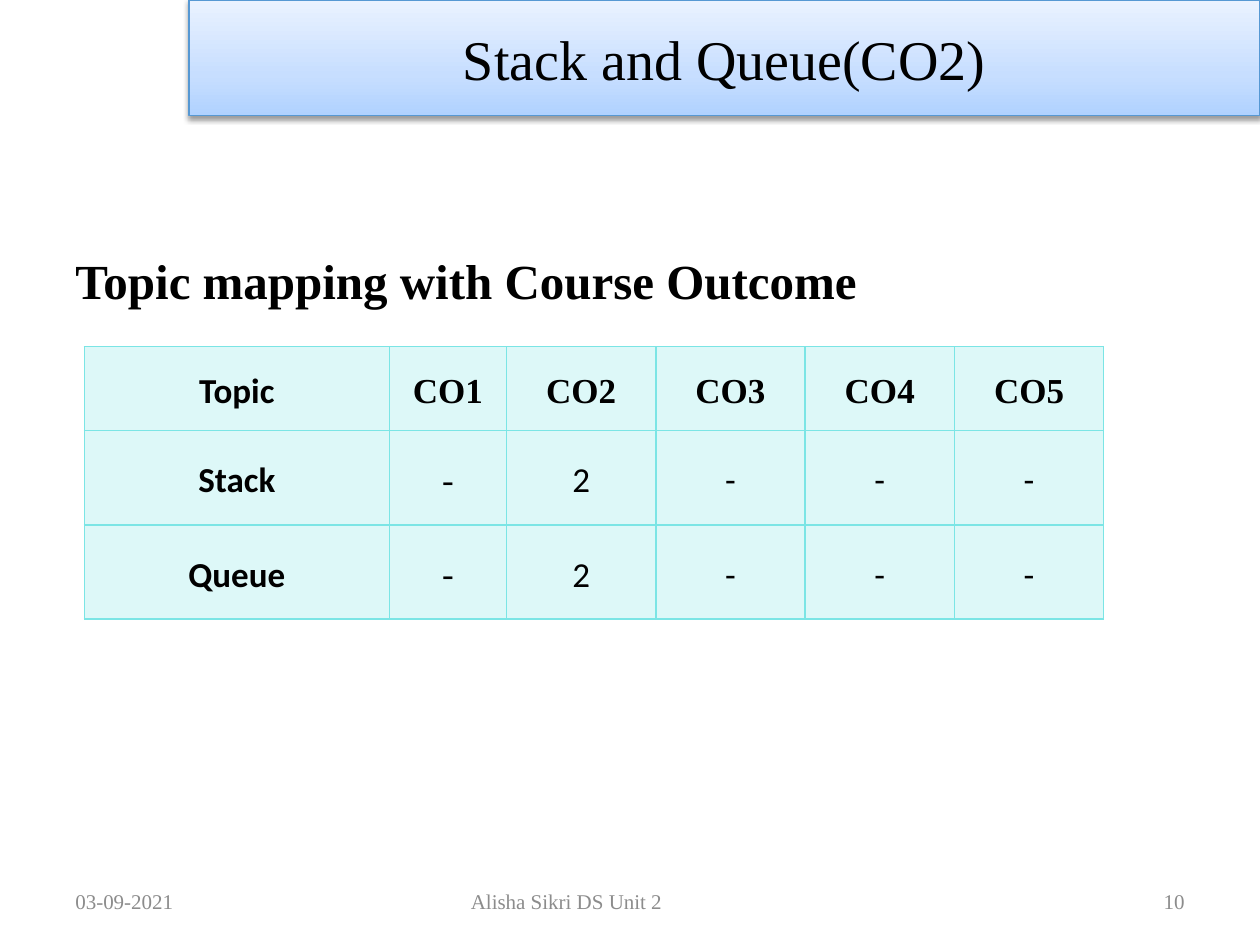
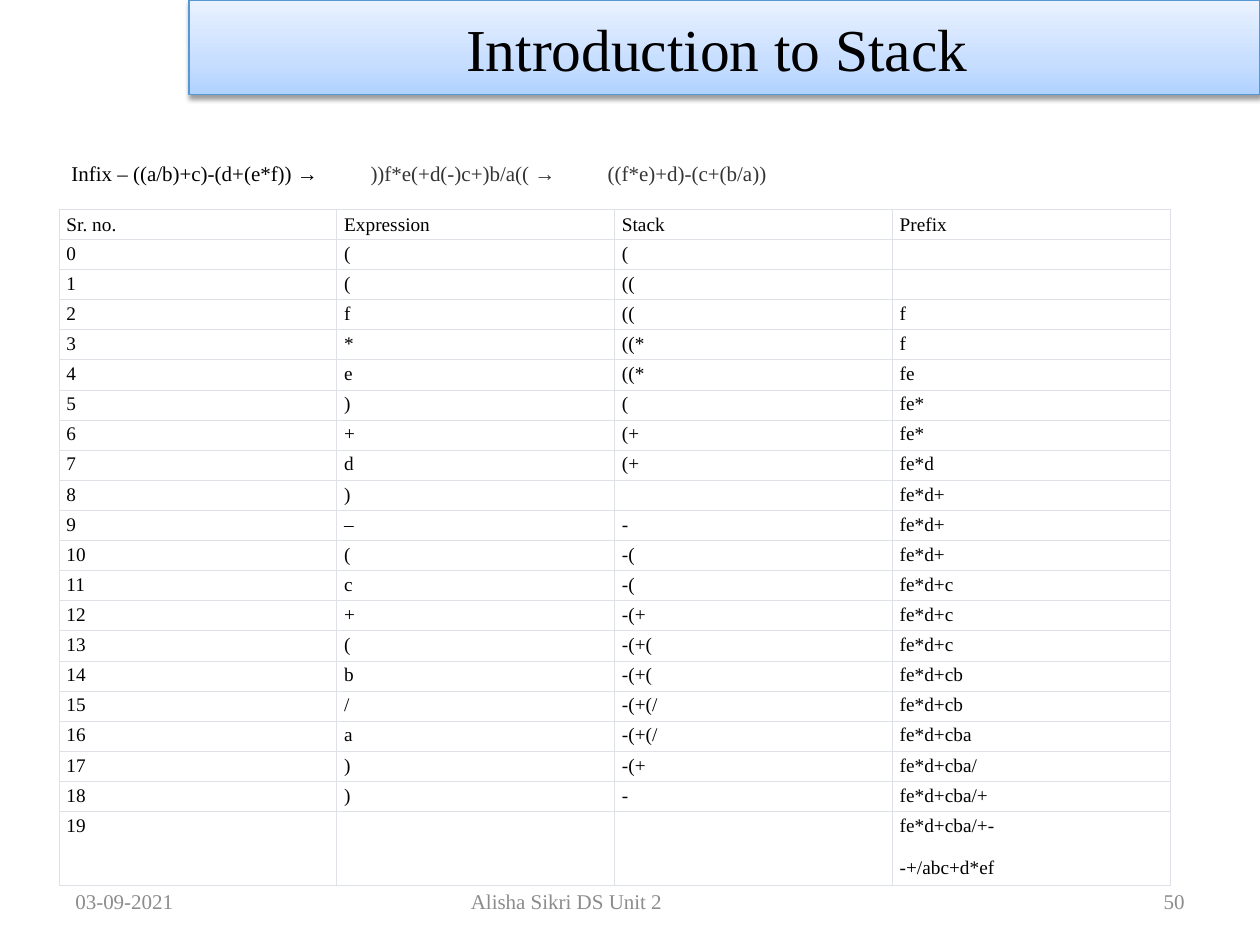
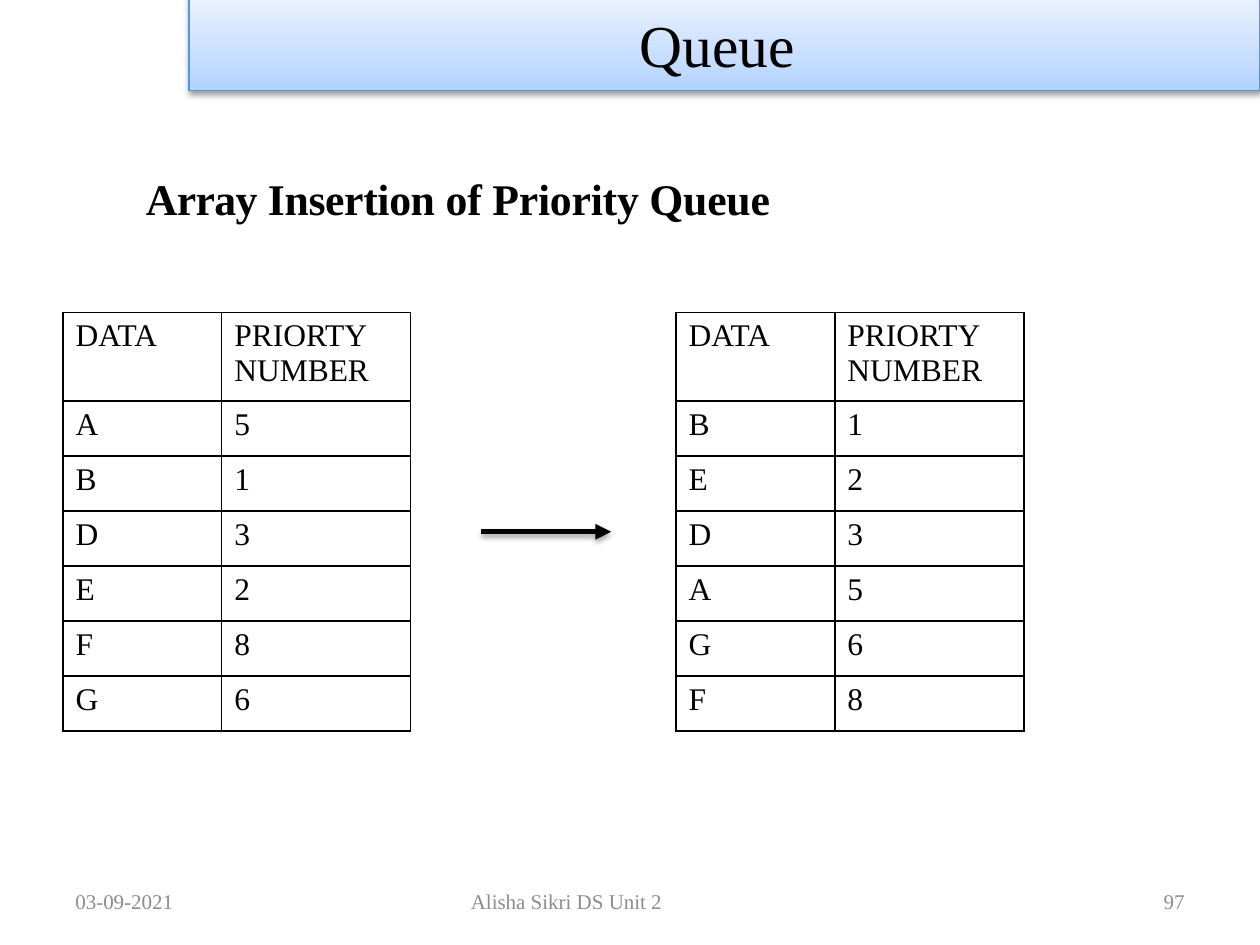
from lxml.etree import SubElement
from pptx import Presentation
from pptx.dml.color import RGBColor
from pptx.enum.shapes import MSO_CONNECTOR as CONN, MSO_SHAPE as SHAPE
from pptx.enum.text import MSO_ANCHOR as ANCHOR, PP_ALIGN as ALIGN
from pptx.oxml.ns import qn
from pptx.util import Cm, Pt

COLORS = {
    "black": "000000", "white": "FFFFFF", "footer": "8C8C8C", "steps": "343434",
    "band_line": "5698D3", "aqua": "7BE5E5", "grid": "DEE2E6",
}
BAND_STOPS = ((0, "B0D2FF"), (35, "C7DEFF"), (100, "EAF2FF"))
SERIF, SANS = "Times New Roman", "Calibri"
BAND_X, BAND_W = 3.81, 21.59
FOOTER_Y, FOOTER_H = 17.65, 1.02
MAPPING = (
    ("Topic", "CO1", "CO2", "CO3", "CO4", "CO5"),
    ("Stack", "-", "2", "-", "-", "-"),
    ("Queue", "-", "2", "-", "-", "-"),
)
# Expression symbol, stack and prefix after each step
STEPS = (
    ("(", "(", ""), ("(", "((", ""), ("f", "((", "f"), ("*", "((*", "f"),
    ("e", "((*", "fe"), (")", "(", "fe*"), ("+", "(+", "fe*"), ("d", "(+", "fe*d"),
    (")", "", "fe*d+"), ("–", "-", "fe*d+"), ("(", "-(", "fe*d+"),
    ("c", "-(", "fe*d+c"), ("+", "-(+", "fe*d+c"), ("(", "-(+(", "fe*d+c"),
    ("b", "-(+(", "fe*d+cb"), ("/", "-(+(/", "fe*d+cb"), ("a", "-(+(/", "fe*d+cba"),
    (")", "-(+", "fe*d+cba/"), (")", "-", "fe*d+cba/+"),
    ("", "", "fe*d+cba/+-\n-+/abc+d*ef"),
)
PRIORITY = {"A": 5, "B": 1, "D": 3, "E": 2, "F": 8, "G": 6}


def rgb(name):
    return RGBColor.from_string(COLORS[name])


def cm(box):
    return [Cm(v) for v in box]


def set_attrs(obj, **values):
    for key, value in values.items():
        setattr(obj, key, value)


def add_run(p, text, size, color="black", name=SERIF, bold=False, spc=0):
    r = p.add_run()
    r.text = text
    set_attrs(r.font, size=Pt(size), name=name, bold=bold)
    r.font.color.rgb = rgb(color)
    if spc:
        r._r.get_or_add_rPr().set("spc", str(spc))


def add_text(s, box, runs, align=ALIGN.LEFT, **frame):
    """Place a one-paragraph text box; runs are (text, format) pairs."""
    tf = s.shapes.add_textbox(*cm(box)).text_frame
    set_attrs(tf, word_wrap=True, **frame)
    p = tf.paragraphs[0]
    p.alignment = align
    for text, fmt in runs:
        add_run(p, text, **fmt)
    return p


def add_shadow(sp, alpha, blur, dist):
    effects = SubElement(sp._element.spPr, qn("a:effectLst"))
    shadow = SubElement(effects, qn("a:outerShdw"), blurRad=str(Pt(blur)),
                        dist=str(Pt(dist)), dir="5400000", rotWithShape="0")
    color = SubElement(shadow, qn("a:srgbClr"), val=COLORS["black"])
    SubElement(color, qn("a:alpha"), val=str(alpha * 1000))


def add_band(s, title, box, size, shift=0):
    """Gradient title band; shift moves the centred title leftwards."""
    sp = s.shapes.add_shape(SHAPE.RECTANGLE, *cm(box))
    sp.fill.gradient()
    sp.fill.gradient_angle = 90
    stops = sp._element.spPr.find(".//" + qn("a:gsLst"))
    stops.clear()
    for pos, color in BAND_STOPS:
        stop = SubElement(stops, qn("a:gs"), pos=str(pos * 1000))
        SubElement(stop, qn("a:srgbClr"), val=color)
    sp.line.color.rgb = rgb("band_line")
    sp.line.width = Pt(0.75)
    add_shadow(sp, 38, 3.1, 1.6)
    tf = sp.text_frame
    set_attrs(tf, vertical_anchor=ANCHOR.MIDDLE, margin_right=Cm(0.25 + shift))
    tf.paragraphs[0].alignment = ALIGN.CENTER
    add_run(tf.paragraphs[0], title, size)


def add_footer(s, number):
    parts = (
        ("03-09-2021", 1.27, 5.93, ALIGN.LEFT),
        ("Alisha Sikri DS Unit 2", 8.69, 5.46, ALIGN.CENTER),
        (str(number), 18.2, 5.93, ALIGN.RIGHT),
    )
    for text, x, w, align in parts:
        add_text(s, (x, FOOTER_Y, w, FOOTER_H), [(text, dict(size=12, color="footer"))],
                 align, vertical_anchor=ANCHOR.MIDDLE)


def add_grid(s, x, y, cols, rows, border, width):
    """Unstyled table with equal borders on every cell."""
    frame = s.shapes.add_table(len(rows), len(cols), *cm((x, y, sum(cols), sum(rows))))
    table = frame.table
    set_attrs(table, first_row=False, horz_banding=False)
    for parts, key, sizes in ((table.columns, "width", cols), (table.rows, "height", rows)):
        for part, size in zip(parts, sizes):
            setattr(part, key, Cm(size))
    for cell in table.iter_cells():
        cell.fill.background()
        tc_pr = cell._tc.get_or_add_tcPr()
        for i, side in enumerate(("lnL", "lnR", "lnT", "lnB")):
            ln = SubElement(tc_pr, qn("a:" + side), w=str(Pt(width)))
            fill = SubElement(ln, qn("a:solidFill"))
            SubElement(fill, qn("a:srgbClr"), val=COLORS[border])
            tc_pr.insert(i, ln)
    return table


def fill_cell(cell, color, alpha=100):
    cell.fill.solid()
    cell.fill.fore_color.rgb = rgb(color)
    if alpha < 100:
        clr = cell._tc.tcPr.find(qn("a:solidFill")).find(qn("a:srgbClr"))
        SubElement(clr, qn("a:alpha"), val=str(alpha * 1000))


def add_mapping_table(s, x, y):
    table = add_grid(s, x, y, [6.15, 2.36] + [3.01] * 4, [1.69, 1.9, 1.9], "aqua", 1)
    for i, row in enumerate(MAPPING):
        for j, text in enumerate(row):
            cell = table.cell(i, j)
            fill_cell(cell, "aqua", 25)
            set_attrs(cell, vertical_anchor=ANCHOR.MIDDLE, margin_left=Cm(0.18),
                      margin_right=Cm(0.18), margin_top=0, margin_bottom=0)
            p = cell.text_frame.paragraphs[0]
            is_value = i > 0 and j > 0
            set_attrs(p, alignment=ALIGN.CENTER, line_spacing=1.15,
                      space_after=Pt(10 if is_value else 0))
            serif = j == 1 or (i == 0 and j > 0)
            add_run(p, text, 20, name=SERIF if serif else SANS, bold=not is_value)


def add_steps_table(s, x, y):
    rows = [("Sr. no.", "Expression", "Stack", "Prefix")]
    rows += [(str(n), *step) for n, step in enumerate(STEPS)]
    table = add_grid(s, x, y, [5.6] * 4, [0.6] * len(STEPS) + [1.43], "grid", 0.6)
    for i, row in enumerate(rows):
        for j, text in enumerate(row):
            cell = table.cell(i, j)
            fill_cell(cell, "white")
            set_attrs(cell, margin_left=Cm(0.15), margin_right=Cm(0.15),
                      margin_top=Cm(0.07), margin_bottom=Cm(0.07),
                      vertical_anchor=ANCHOR.TOP if i else ANCHOR.BOTTOM)
            tf = cell.text_frame
            for k, line in enumerate(text.split("\n")):
                p = tf.add_paragraph() if k else tf.paragraphs[0]
                if k:
                    p.space_before = Pt(12)
                if line:
                    add_run(p, line, 11)
                else:
                    SubElement(p._p, qn("a:endParaRPr"), sz="1100")


def add_priority_table(s, x, y, items):
    rows = [("DATA", "PRIORTY NUMBER"), *items]
    table = add_grid(s, x, y, [3.2, 3.81], [1.78] + [1.11] * len(items), "black", 1)
    for i, row in enumerate(rows):
        for j, value in enumerate(row):
            add_run(table.cell(i, j).text_frame.paragraphs[0], str(value), 18)


def add_arrow(s, x, y, length):
    c = s.shapes.add_connector(CONN.STRAIGHT, *cm((x, y, x + length, y)))
    c.line.color.rgb = rgb("black")
    c.line.width = Pt(3)
    SubElement(c.line._get_or_add_ln(), qn("a:tailEnd"), type="triangle")
    add_shadow(c, 35, 3.1, 1.8)


def mapping_slide(s):
    add_text(s, (1.27, 3.18, 22.86, 12.57),
             [("Topic mapping with Course Outcome", dict(size=28, bold=True))],
             margin_top=Cm(1.87))
    add_band(s, "Stack and Queue(CO2)", (BAND_X, 0, BAND_W, 2.33), 32)
    add_mapping_table(s, 1.7, 6.99)
    add_footer(s, 10)


def stack_slide(s):
    add_footer(s, 50)
    add_steps_table(s, 1.19, 4.22)
    p = add_text(s, (1.19, 3.12, 22.1, 0.77), [
        ("Infix – ((a/b)+c)-(d+(e*f)) →", dict(size=12)),
        ("\t))f*e(+d(-)c+)b/a(( →\t((f*e)+d)-(c+(b/a))", dict(size=12, color="steps")),
    ])
    tabs = SubElement(p._p.get_or_add_pPr(), qn("a:tabLst"))
    for pos in (6.03, 10.81):
        SubElement(tabs, qn("a:tab"), pos=str(Cm(pos)), algn="l")
    add_band(s, "Introduction to Stack", (BAND_X, 0, BAND_W, 1.91), 34, shift=0.3)


def queue_slide(s):
    add_footer(s, 97)
    add_band(s, "Queue", (BAND_X, -0.08, BAND_W, 1.91), 34, shift=0.3)
    heading = (("Array ", -30), ("Insertion ", -20), ("of Priority Queue", -10))
    add_text(s, (2.69, 3.33, 19.99, 1.32),
             [(text, dict(size=25, bold=True, spc=spc)) for text, spc in heading])
    items = list(PRIORITY.items())
    add_priority_table(s, 1.27, 6.3, items)
    add_arrow(s, 9.7, 10.72, 2.62)
    add_priority_table(s, 13.63, 6.3, sorted(items, key=lambda item: item[1]))


def main():
    prs = Presentation()
    set_attrs(prs, slide_width=Cm(25.4), slide_height=Cm(19.05))
    for build in (mapping_slide, stack_slide, queue_slide):
        build(prs.slides.add_slide(prs.slide_layouts[6]))
    prs.save("out.pptx")


if __name__ == "__main__":
    main()
